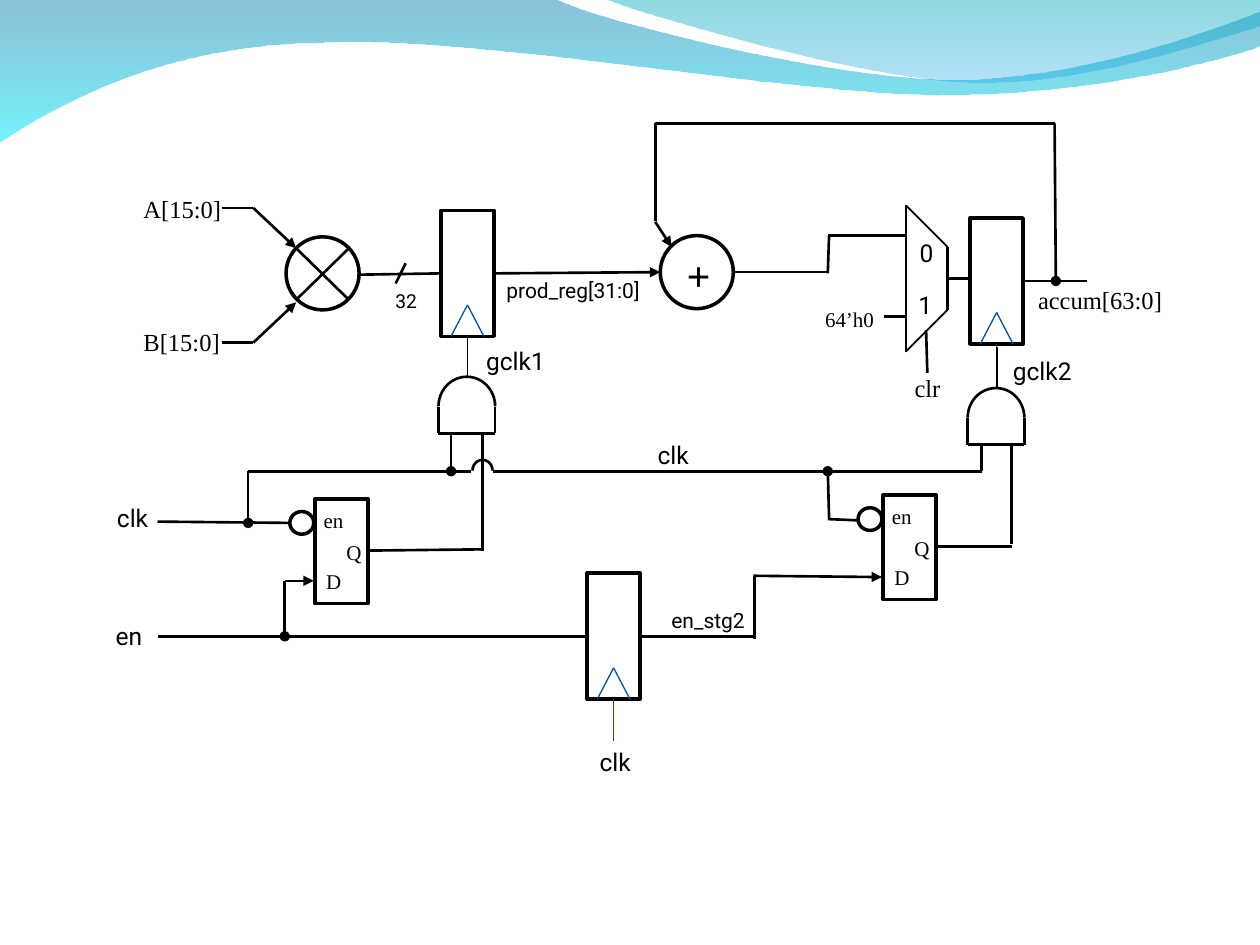
from dataclasses import dataclass
from typing import Optional

from pptx import Presentation
from pptx.dml.color import RGBColor
from pptx.enum.shapes import MSO_CONNECTOR as Connector, MSO_SHAPE as Preset
from pptx.enum.text import MSO_ANCHOR as Anchor, MSO_AUTO_SIZE as AutoSize
from pptx.oxml.ns import qn
from pptx.util import Emu, Inches, Pt
from lxml.etree import SubElement

PX = 9144
BLACK = RGBColor(0x00, 0x00, 0x00)
BLUE = RGBColor(0x06, 0x50, 0x93)
OCEAN = RGBColor(0x00, 0x79, 0xAF)
CYAN = RGBColor(0x00, 0xEB, 0xF8)
TEAL = RGBColor(0x00, 0xAD, 0xB6)
SKY = RGBColor(0x00, 0x9B, 0xE5)
ROBOTO = "Roboto"
TIMES = "Times New Roman"
LABEL_HEIGHTS = {11: 29, 12: 30, 14: 34, 24: 50}
FRAME_FORMAT = {
    "margin_left": Inches(0.1), "margin_right": Inches(0.1),
    "margin_top": Inches(0.05), "margin_bottom": Inches(0.05),
    "word_wrap": False, "auto_size": AutoSize.SHAPE_TO_FIT_TEXT,
    "vertical_anchor": Anchor.TOP,
}


@dataclass
class Wire:
    x1: int
    y1: int
    x2: int
    y2: int
    head: Optional[str] = None
    tail: Optional[str] = None
    weight: float = 1.5
    color: RGBColor = BLACK


@dataclass
class Label:
    text: str
    x: int
    y: int
    width: int
    size: int = 14
    font: str = ROBOTO
    bold: bool = False


@dataclass
class Wave:
    start: tuple
    steps: list
    stops: list


@dataclass
class Register:
    x: int
    y: int
    clock_weight: float = 0.75
    clock_color: RGBColor = BLUE


WAVES = [
    Wave((0, -1), [(440, -1), (476, 17, 664, 63, 758, 63), (853, 63, 958, 26, 1000, 9),
                   (1001, 36), (983, 44, 870, 76, 746, 75), (622, 75, 382, 28, 257, 34),
                   (129, 35, 46, 83, -1, 113)], [(OCEAN, 45), (CYAN, 55)]),
    Wave((479, -1), [(509, 11, 682, 62, 769, 65), (856, 69, 961, 32, 1000, 21),
                     (1000, 0)], [(TEAL, 45), (SKY, 30)]),
]
REGISTERS = [Register(350, 167, 1, BLACK), Register(770, 173), Register(466, 455)]
LATCHES = [(250, 396), (701, 393)]
GATES = [(348, 299), (768, 308)]
CIRCLES = [(227, 188), (524, 187)]

MULTIPLIER_WIRES = [
    Wire(176, 165, 201, 165), Wire(201, 165, 235, 197, tail="triangle"),
    Wire(176, 272, 201, 272), Wire(201, 272, 235, 240, tail="triangle"),
    Wire(235, 197, 277, 238), Wire(235, 238, 277, 197),
    Wire(285, 218, 350, 217), Wire(314, 225, 322, 209),
]
ADDER_WIRES = [
    Wire(392, 217, 524, 216, tail="triangle"), Wire(582, 216, 657, 216),
    Wire(657, 217, 658, 187), Wire(719, 187, 657, 187),
    Wire(838, 223, 837, 98, head="oval"), Wire(837, 98, 520, 98),
    Wire(520, 98, 520, 175), Wire(520, 176, 533, 196, tail="triangle"),
    Wire(811, 223, 863, 223),
]
MUX_WIRES = [
    Wire(752, 196, 719, 163, weight=1), Wire(752, 246, 719, 279, weight=1),
    Wire(752, 246, 752, 196), Wire(719, 163, 719, 279),
    Wire(735, 262, 736, 296), Wire(752, 221, 769, 221), Wire(719, 251, 702, 251),
]
CLOCK_WIRES = [
    Wire(230, 415, 125, 414), Wire(197, 415, 197, 374, head="oval"),
    Wire(197, 374, 374, 374), Wire(358, 374, 358, 344, head="oval"),
    Wire(391, 374, 779, 374), Wire(779, 374, 779, 353),
    Wire(657, 374, 658, 411, head="oval"), Wire(657, 412, 681, 413),
    Wire(791, 275, 791, 309, weight=1),
]
ENABLE_WIRES = [
    Wire(299, 505, 125, 505), Wire(226, 505, 466, 505, head="oval"),
    Wire(226, 505, 226, 461), Wire(226, 461, 249, 461, tail="triangle"),
    Wire(293, 437, 383, 436), Wire(383, 437, 383, 344),
    Wire(508, 505, 599, 505), Wire(599, 507, 599, 457),
    Wire(598, 457, 700, 458, tail="triangle"),
    Wire(743, 434, 803, 434), Wire(803, 352, 803, 432),
]
LABELS = [
    Label("A[15:0]", 104, 149, 83, font=TIMES), Label("B[15:0]", 104, 255, 82, font=TIMES),
    Label("32", 304, 225, 37, 11), Label("prod_reg[31:0]", 392, 215, 135, 12),
    Label("+", 535, 193, 39, 24, TIMES, True),
    Label("0", 720, 184, 31), Label("1", 719, 225, 31),
    Label("64’h0", 645, 238, 60, 12, TIMES), Label("clr", 716, 291, 42, font=TIMES),
    Label("accum[63:0]", 814, 221, 120, font=TIMES),
    Label("gclk1", 376, 270, 68), Label("gclk2", 794, 278, 68),
    Label("clk", 83, 394, 45), Label("clk", 512, 344, 45), Label("clk", 466, 588, 45),
    Label("en", 82, 488, 43), Label("en_stg2", 523, 477, 81, 12),
]


def px(value: int) -> Emu:
    return Emu(value * PX)


def draw_wave(slide, wave: Wave) -> None:
    builder = slide.shapes.build_freeform(*wave.start, scale=PX)
    for step in wave.steps:
        builder.add_line_segments(list(zip(step[::2], step[1::2])), close=False)
    builder.add_line_segments([wave.start], close=True)
    shape = builder.convert_to_shape()
    segments = list(shape.element.spPr.iter(qn("a:lnTo")))
    for step in wave.steps:
        count = len(step) // 2
        group, segments = segments[:count], segments[count:]
        if count == 3:
            curve = SubElement(group[0].getparent(), qn("a:cubicBezTo"))
            group[0].addprevious(curve)
            for segment in group:
                curve.append(segment[0])
                segment.getparent().remove(segment)
    shape.shadow.inherit = False
    shape.line.fill.background()
    shape.fill.gradient()
    shape.fill.gradient_angle = 270
    for position, (stop, (color, opacity)) in enumerate(zip(shape.fill.gradient_stops, wave.stops)):
        stop.position = position
        stop.color.rgb = color
    colors = shape.element.spPr.find(qn("a:gradFill")).iter(qn("a:srgbClr"))
    for element, (color, opacity) in zip(colors, wave.stops):
        SubElement(element, qn("a:alpha")).set("val", str(opacity * 1000))


def draw_outline(slide, preset: Preset, x: int, y: int, width: int, height: int,
                 weight: float = 2):
    shape = slide.shapes.add_shape(preset, px(x), px(y), px(width), px(height))
    shape.shadow.inherit = False
    shape.fill.background()
    shape.line.color.rgb = BLACK
    shape.line.width = Pt(weight)
    return shape


def draw_wire(slide, wire: Wire) -> None:
    connector = slide.shapes.add_connector(
        Connector.STRAIGHT, px(wire.x1), px(wire.y1), px(wire.x2), px(wire.y2))
    connector.line.color.rgb = wire.color
    connector.line.width = Pt(wire.weight)
    properties = connector.element.spPr
    for tag, kind in (("a:headEnd", wire.head), ("a:tailEnd", wire.tail)):
        if kind:
            SubElement(properties.find(qn("a:ln")), qn(tag)).set("type", kind)
    SubElement(properties, qn("a:effectLst"))


def draw_label(slide, label: Label) -> None:
    box = slide.shapes.add_textbox(
        px(label.x), px(label.y), px(label.width), px(LABEL_HEIGHTS[label.size]))
    for name, value in FRAME_FORMAT.items():
        setattr(box.text_frame, name, value)
    run = box.text_frame.paragraphs[0].add_run()
    run.text = label.text
    font_format = {"name": label.font, "size": Pt(label.size), "bold": label.bold}
    for name, value in font_format.items():
        setattr(run.font, name, value)
    run.font.color.rgb = BLACK


def draw_register(slide, register: Register) -> None:
    x, y = register.x, register.y
    draw_outline(slide, Preset.RECTANGLE, x, y, 42, 100)
    for foot in (x + 8, x + 34):
        draw_wire(slide, Wire(foot, y + 100, x + 21, y + 75, weight=0.75, color=BLUE))
    draw_wire(slide, Wire(x + 21, y + 100, x + 21, y + 133,
                          weight=register.clock_weight, color=register.clock_color))


def draw_latch(slide, x: int, y: int) -> None:
    draw_outline(slide, Preset.RECTANGLE, x, y, 42, 83)
    draw_outline(slide, Preset.OVAL, x - 20, y + 10, 19, 18)
    for text, dx, dy, width in (("en", -3, 2, 37), ("Q", 15, 27, 33), ("D", -1, 50, 33)):
        draw_label(slide, Label(text, x + dx, y + dy, width, 12, TIMES))


def draw_half_circle(slide, x: int, y: int, width: int, height: int) -> None:
    for start, end in ((108, 162), (162, 0)):
        arc = draw_outline(slide, Preset.ARC, x, y, width, height, 1.5)
        arc.adjustments[0] = start
        arc.adjustments[1] = end


def draw_gate(slide, x: int, y: int) -> None:
    draw_half_circle(slide, x, y, 45, 47)
    for side in (x, x + 45):
        draw_wire(slide, Wire(side, y + 24, side, y + 45))
    draw_wire(slide, Wire(x + 45, y + 45, x, y + 45))


def main() -> None:
    presentation = Presentation()
    presentation.slide_width, presentation.slide_height = px(1000), px(750)
    slide = presentation.slides.add_slide(presentation.slide_layouts[6])
    for wave in WAVES:
        draw_wave(slide, wave)
    for register in REGISTERS:
        draw_register(slide, register)
    for x, y in CIRCLES:
        draw_outline(slide, Preset.OVAL, x, y, 58, 58)
    for x, y in LATCHES:
        draw_latch(slide, x, y)
    for x, y in GATES:
        draw_gate(slide, x, y)
    draw_half_circle(slide, 375, 365, 16, 17)
    for wire in MULTIPLIER_WIRES + ADDER_WIRES + MUX_WIRES + CLOCK_WIRES + ENABLE_WIRES:
        draw_wire(slide, wire)
    for label in LABELS:
        draw_label(slide, label)
    presentation.save("out.pptx")


if __name__ == "__main__":
    main()
